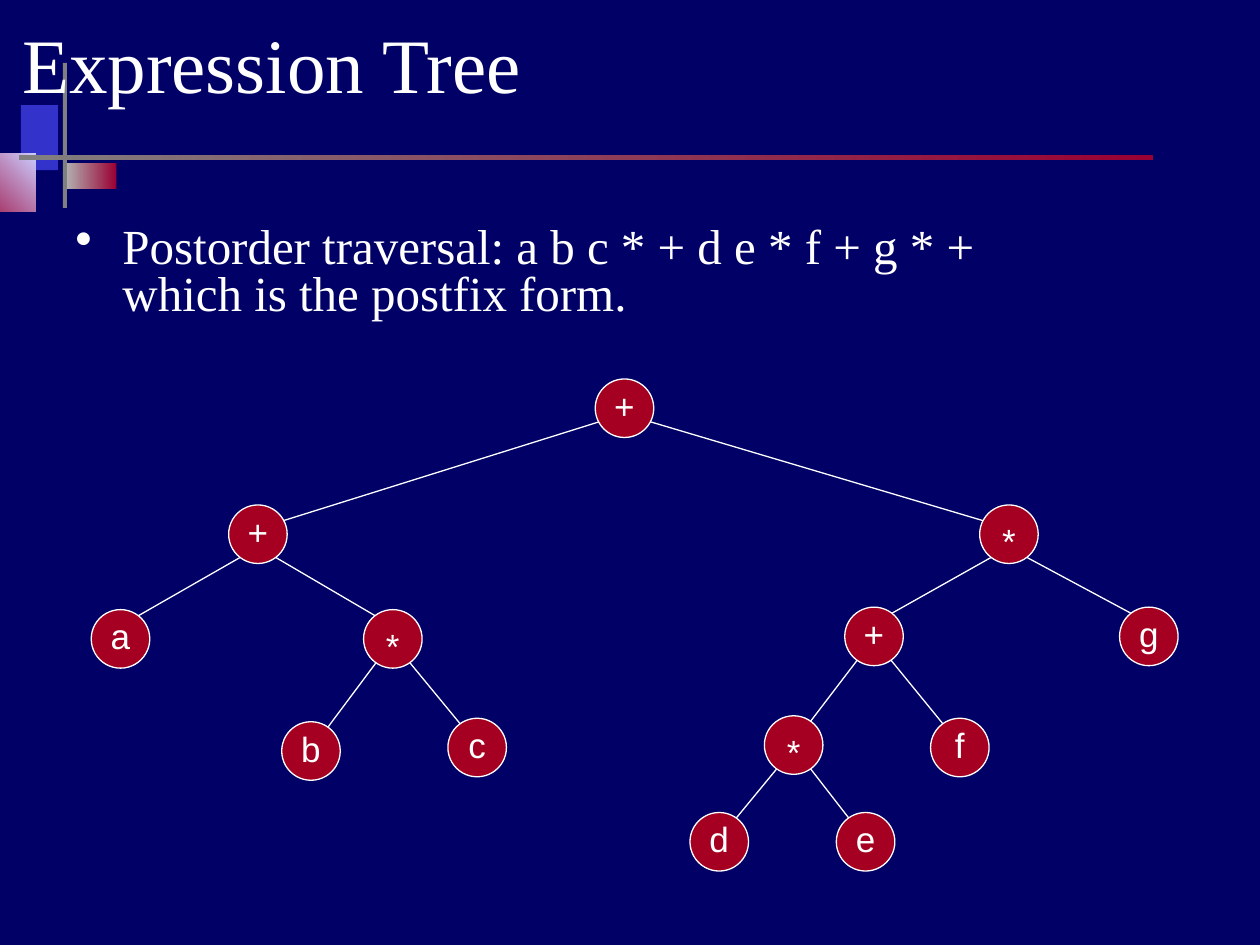
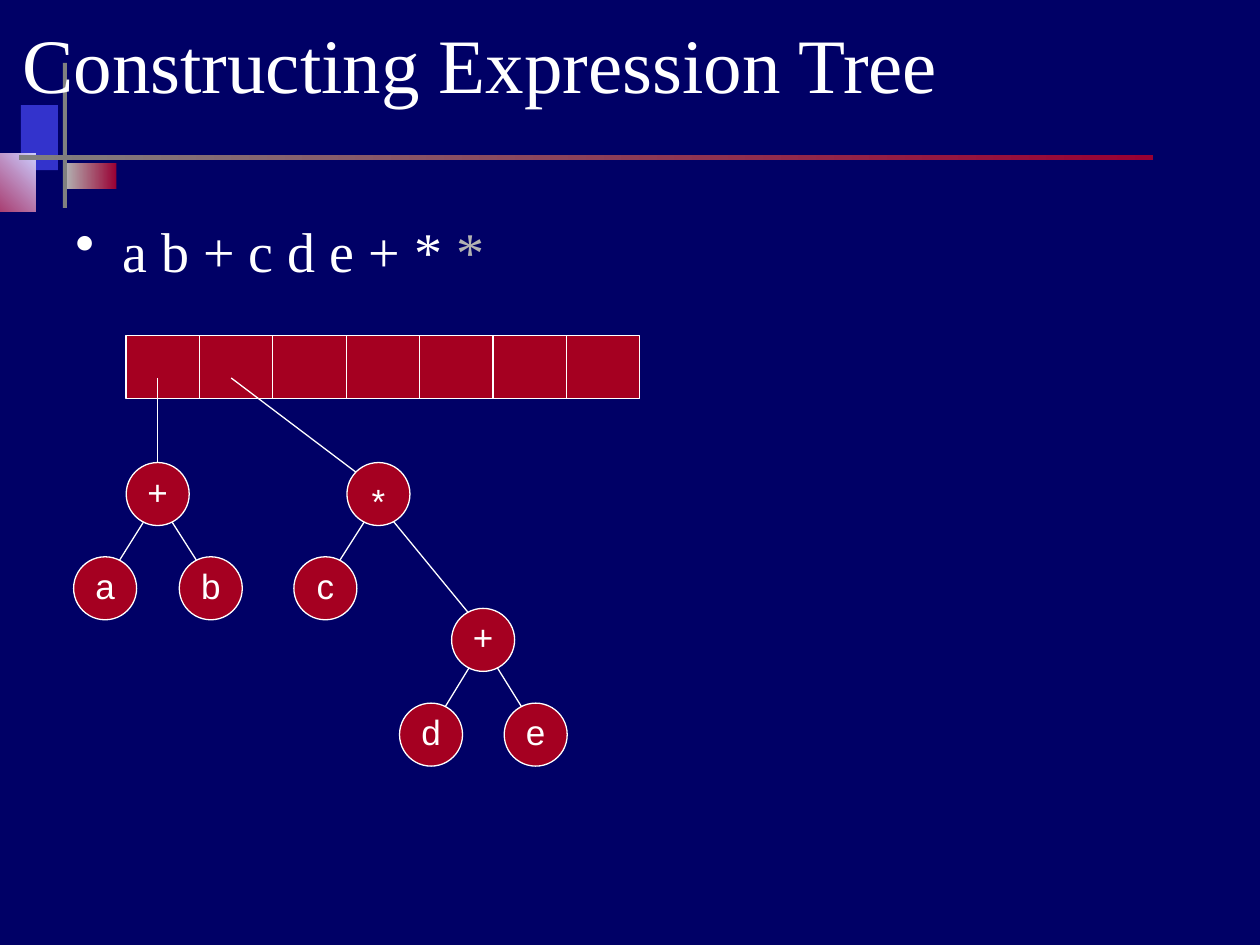
from dataclasses import dataclass

from lxml import etree
from pptx import Presentation
from pptx.dml.color import RGBColor
from pptx.enum.shapes import MSO_CONNECTOR as Connector, MSO_SHAPE as Shape
from pptx.enum.text import MSO_ANCHOR as Anchor, PP_ALIGN as Align
from pptx.oxml.ns import qn
from pptx.util import Cm, Pt

COLORS = {
    "navy": "000066", "white": "FFFFFF", "red": "A50021", "wine": "990033",
    "blue": "3333CC", "lilac": "CCCCFF", "gray": "808080", "silver": "B2B2B2",
}
SERIF, SANS = "Times New Roman", "Arial"

# Bars around the title: left, top, width, height, fill colours, gradient angle
TITLE_BARS = [
    (0.42, 2.12, 0.75, 1.31, ["blue"], 0),
    (1.32, 3.29, 1.03, 0.52, ["silver", "wine"], 0),
    (-0.84, 3.09, 1.56, 1.18, ["wine", "lilac"], 45),
    (1.27, 1.27, 0.08, 2.92, ["gray"], 0),
    (0.38, 3.12, 22.86, 0.1, ["gray", "wine"], 0),
]


@dataclass
class Node:
    """A tree node; x and y give its centre in cm, drop the height of its edge starts."""
    label: str
    x: float
    y: float
    children: tuple = ()
    drop: float = 0.44


TRAVERSAL_TREE = Node("+", 10.74, 0.58, drop=0.21, children=(
    Node("+", 3.35, 3.12, (
        Node("a", 0.58, 5.23),
        Node("*", 6.07, 5.23, (Node("b", 4.42, 7.49), Node("c", 7.77, 7.42))))),
    Node("*", 18.49, 3.12, (
        Node("+", 15.77, 5.18, (
            Node("*", 14.15, 7.37, (Node("d", 12.65, 9.32), Node("e", 15.6, 9.32))),
            Node("f", 17.5, 7.42))),
        Node("g", 21.31, 5.18)))))

STACKED_TREES = [
    Node("+", 1.7, 0.64, (Node("a", 0.64, 2.54), Node("b", 2.77, 2.54))),
    Node("*", 6.15, 0.64, (
        Node("c", 5.08, 2.54),
        Node("+", 8.26, 3.58, (Node("d", 7.21, 5.49), Node("e", 9.32, 5.49))))),
]


def rgb(name):
    return RGBColor.from_string(COLORS[name])


def style_font(font, name, size, color="white"):
    font.name, font.size, font.color.rgb = name, Pt(size), rgb(color)


def add_filled(page, kind, box, colors, angle=0, outline=None):
    shape = page.shapes.add_shape(kind, *map(Cm, box))
    shape.shadow.inherit = False
    if len(colors) == 1:
        shape.fill.solid()
        shape.fill.fore_color.rgb = rgb(colors[0])
    else:
        shape.fill.gradient()
        shape.fill.gradient_angle = angle
        for stop, color in zip(shape.fill.gradient_stops, colors):
            stop.color.rgb = rgb(color)
    if outline:
        shape.line.color.rgb = rgb(outline)
        shape.line.width = Pt(0.75)
    else:
        shape.line.fill.background()
    return shape


def add_line(page, *ends):
    line = page.shapes.add_connector(Connector.STRAIGHT, *map(Cm, ends))
    line.line.color.rgb = rgb("white")
    line.line.width = Pt(0.75)
    etree.SubElement(line._element.spPr, qn("a:effectLst"))


def add_title(page, title):
    """Draw the bars and the title over them."""
    for *box, colors, angle in TITLE_BARS:
        add_filled(page, Shape.RECTANGLE, box, colors, angle)
    frame = page.shapes.add_textbox(Cm(0.2), Cm(0), Cm(22.86), Cm(2.54)).text_frame
    frame.word_wrap = True
    frame.vertical_anchor = Anchor.MIDDLE
    frame.text = title
    style_font(frame.paragraphs[0].runs[0].font, SERIF, 44)


def add_bullet(page, box, text, size, spacing=1.0, pending=""):
    """Write one bulleted paragraph; pending is the grayed rest of the input."""
    frame = page.shapes.add_textbox(*map(Cm, box)).text_frame
    frame.word_wrap = True
    frame.text = text
    para = frame.paragraphs[0]
    props = para._p.get_or_add_pPr()
    props.set("marL", str(Cm(0.95)))
    props.set("indent", str(-Cm(0.95)))
    tint = etree.SubElement(props, qn("a:buClr"))
    etree.SubElement(tint, qn("a:srgbClr"), val=COLORS["white"])
    etree.SubElement(props, qn("a:buChar"), char="•")
    para.line_spacing = spacing
    style_font(para.font, SERIF, size)
    for span in para.runs:
        style_font(span.font, SERIF, size)
    if pending:
        span = para.add_run()
        span.text = pending
        style_font(span.font, SERIF, size, "silver")


def add_node(page, node, left, top, diameter):
    radius = diameter / 2
    box = (left + node.x - radius, top + node.y - radius, diameter, diameter)
    frame = add_filled(page, Shape.OVAL, box, ["red"], outline="white").text_frame
    frame.word_wrap = False
    frame.vertical_anchor = Anchor.MIDDLE
    frame.margin_left = frame.margin_right = 0
    # The asterisk sits high in its line, so it is pushed down
    frame.margin_top = Cm(0.25 if node.label == "*" else 0)
    frame.margin_bottom = Cm(0 if node.label == "*" else 0.12)
    frame.text = node.label
    para = frame.paragraphs[0]
    para.alignment = Align.CENTER
    style_font(para.runs[0].font, SANS, 20)


def add_tree(page, node, left, top, diameter, reach):
    """Draw a subtree; edges leave and meet each node reach cm beside its centre."""
    for child in node.children:
        side = reach if child.x > node.x else -reach
        add_line(page, left + node.x + side, top + node.y + node.drop,
                 left + child.x - side, top + child.y - node.drop)
        add_tree(page, child, left, top, diameter, reach)
    add_node(page, node, left, top, diameter)


def add_stack(page, left, top, slots=7, slot=1.48, height=1.27):
    """Draw the stack and the pointers from its first two slots."""
    add_filled(page, Shape.RECTANGLE, (left, top, slots * slot, height), ["red"],
               outline="white")
    for index in range(1, slots):
        x = left + index * slot
        add_line(page, x, top, x, top + height)
    for index, (x, y) in enumerate([(0.64, 2.55), (4.65, 2.76)]):
        add_line(page, left + 0.64 + index * slot, top + 0.85, left + x, top + y)


def build_traversal(page):
    add_title(page, "Expression Tree")
    add_bullet(page, (1.27, 4.45, 22.86, 2.34),
               "Postorder traversal: a b c * + d e * f + g * +\vwhich is the postfix form.",
               28, spacing=0.8)
    add_tree(page, TRAVERSAL_TREE, 1.85, 7.65, diameter=1.18, reach=0.31)


def build_construction(page):
    add_title(page, "Constructing Expression Tree")
    add_bullet(page, (1.27, 4.24, 22.86, 2.34), "a b + c d e + *", 32, pending=" *")
    add_stack(page, 2.54, 6.77)
    for tree in STACKED_TREES:
        add_tree(page, tree, 1.48, 9.32, diameter=1.27, reach=0.21)


def main():
    deck = Presentation()
    deck.slide_width, deck.slide_height = Cm(25.4), Cm(19.05)
    backdrop = deck.slide_master.background.fill
    backdrop.solid()
    backdrop.fore_color.rgb = rgb("navy")
    for build in (build_traversal, build_construction):
        build(deck.slides.add_slide(deck.slide_layouts[6]))
    deck.save("out.pptx")


if __name__ == "__main__":
    main()
